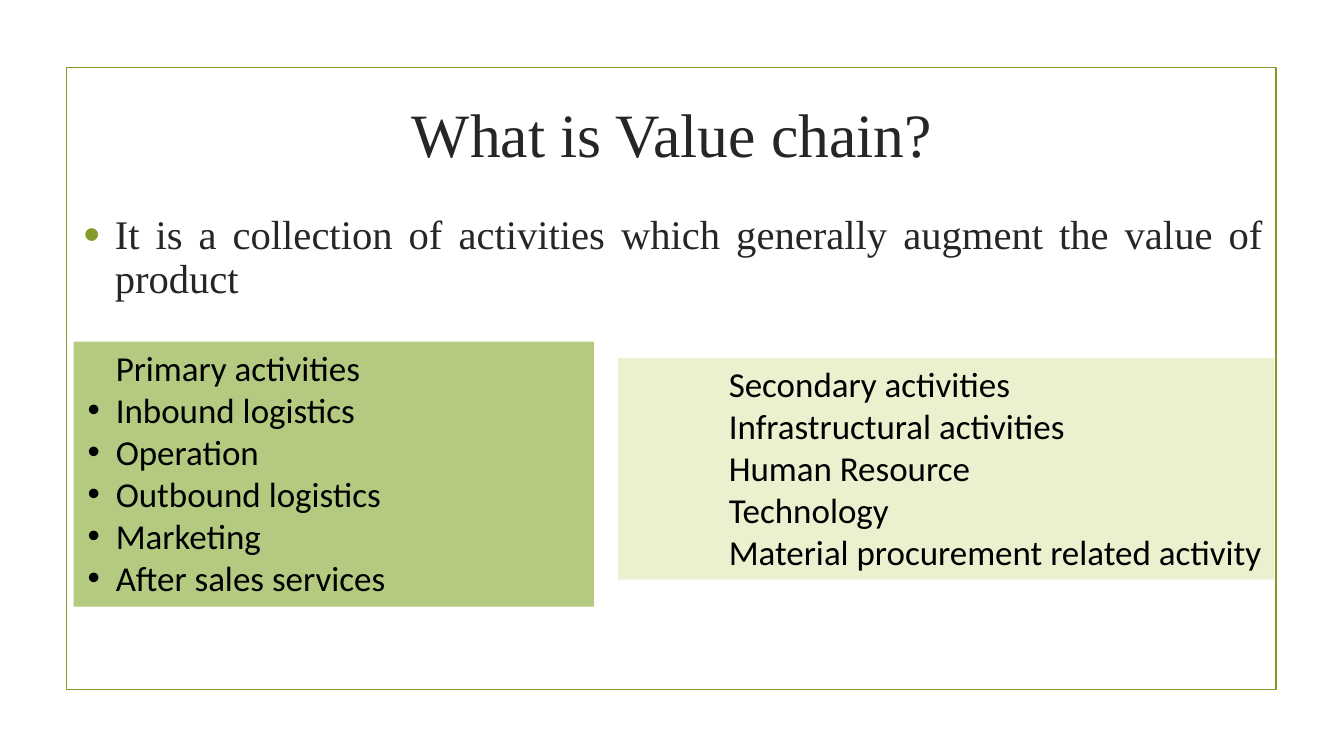
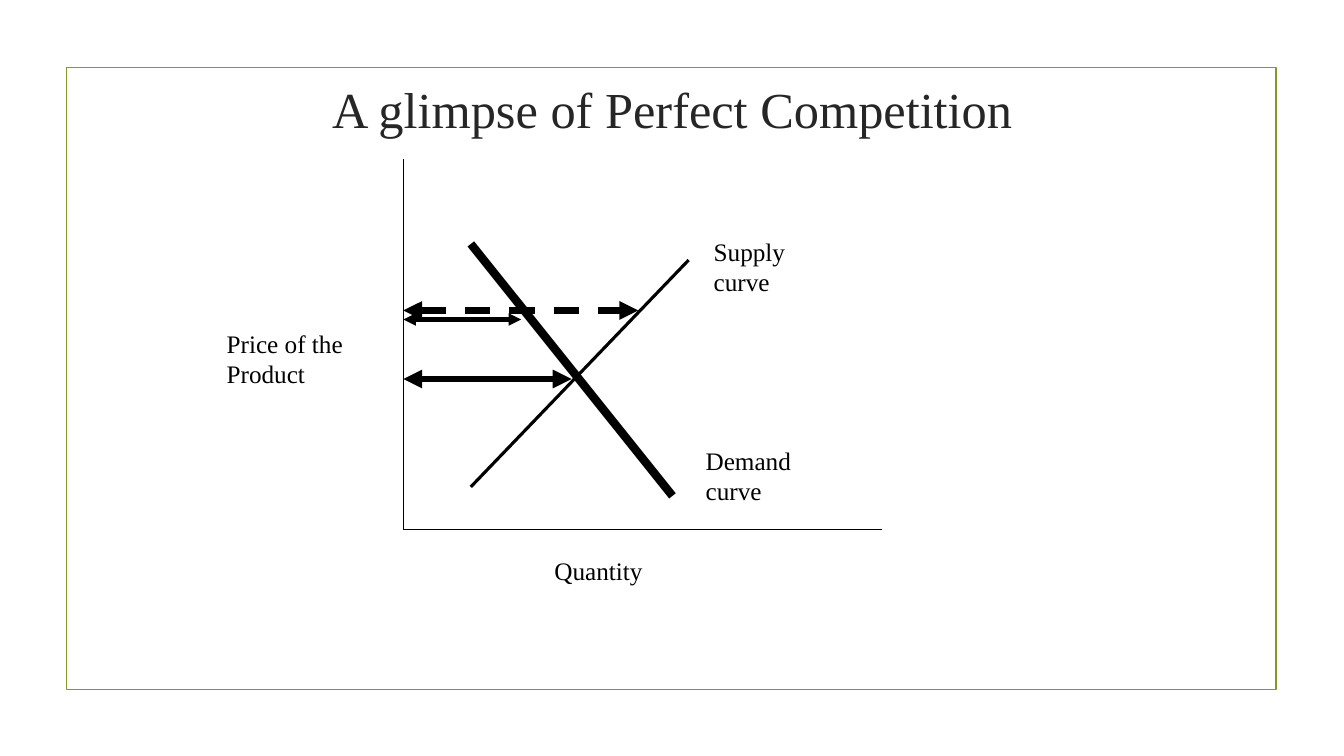
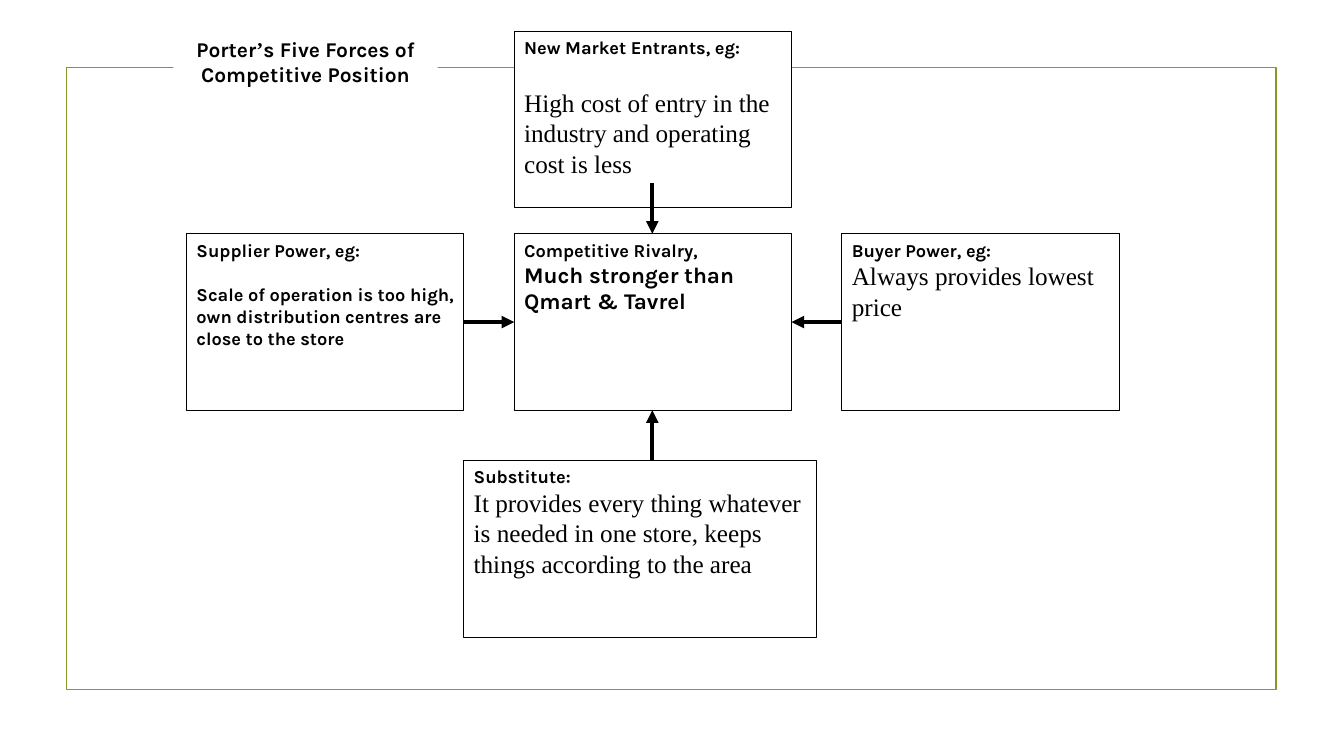
from dataclasses import dataclass

from lxml import etree
from pptx import Presentation
from pptx.dml.color import RGBColor
from pptx.enum.dml import MSO_LINE
from pptx.enum.shapes import MSO_CONNECTOR, MSO_SHAPE
from pptx.enum.text import MSO_ANCHOR, PP_ALIGN
from pptx.oxml.ns import qn
from pptx.util import Inches, Pt


@dataclass(frozen=True)
class Theme:
    # Colours
    ink: str = "000000"
    title_ink: str = "262626"
    accent: str = "83992A"
    paper: str = "FFFFFF"
    primary_fill: str = "B4CA80"
    secondary_fill: str = "EAF1CE"
    # Fonts
    serif: str = "Times New Roman"
    sans: str = "Calibri"
    display: str = "Karla"
    # Type sizes
    title: int = 44
    small_title: int = 36
    body: int = 29
    listing: int = 25
    label: int = 18
    emphasis: int = 16
    caption: int = 15
    heading: int = 13


class Deck:
    """Holds the presentation, its style and the current slide."""

    def __init__(self, theme):
        self.theme = theme
        self.presentation = Presentation()
        self.presentation.slide_width = Inches(13.33)
        self.presentation.slide_height = Inches(7.5)
        self.slide = None

    def new_slide(self):
        """Start a slide with the shared frame."""
        layout = self.presentation.slide_layouts[6]
        self.slide = self.presentation.slides.add_slide(layout)
        self.box(0.66, 0.67, 12, 6.17, line=self.theme.accent, weight=1.25)

    def box(self, left, top, width, height, fill=None, line=None, weight=0.75):
        shape = self.slide.shapes.add_shape(
            MSO_SHAPE.RECTANGLE, Inches(left), Inches(top), Inches(width), Inches(height))
        shape.shadow.inherit = False
        if fill:
            shape.fill.solid()
            shape.fill.fore_color.rgb = RGBColor.from_string(fill)
        else:
            shape.fill.background()
        if line:
            shape.line.color.rgb = RGBColor.from_string(line)
            shape.line.width = Pt(weight)
        else:
            shape.line.fill.background()
        shape.text_frame.word_wrap = True
        shape.text_frame.vertical_anchor = MSO_ANCHOR.TOP
        return shape.text_frame

    def text_area(self, left, top, width, height):
        shape = self.slide.shapes.add_textbox(
            Inches(left), Inches(top), Inches(width), Inches(height))
        shape.text_frame.word_wrap = True
        return shape.text_frame

    def paragraph(self, frame, align=PP_ALIGN.LEFT, before=0, margin=0, hanging=0,
                  bullet=False, bullet_color=None, bullet_size=100):
        """Return the empty first paragraph of a frame, or a new one."""
        paragraph = frame.paragraphs[0]
        if paragraph.runs:
            paragraph = frame.add_paragraph()
        properties = paragraph._p.get_or_add_pPr()
        properties.set("marL", str(Inches(margin)))
        properties.set("indent", str(-Inches(hanging)))
        if bullet:
            color = etree.SubElement(properties, qn("a:buClr"))
            etree.SubElement(color, qn("a:srgbClr"), val=bullet_color or self.theme.ink)
            etree.SubElement(properties, qn("a:buSzPct"), val=str(bullet_size * 1000))
            etree.SubElement(properties, qn("a:buFont"), typeface="Arial")
            etree.SubElement(properties, qn("a:buChar"), char="•")
        paragraph.alignment = align
        if before:
            paragraph.space_before = Pt(before)
        return paragraph

    def run(self, paragraph, text, size, font, bold=False, color=None):
        run = paragraph.add_run()
        run.text = text
        run.font.size = Pt(size)
        run.font.name = font
        run.font.bold = bold
        run.font.color.rgb = RGBColor.from_string(color or self.theme.ink)

    def title(self, text, top, height, size):
        frame = self.text_area(2.17, top, 9, height)
        frame.vertical_anchor = MSO_ANCHOR.MIDDLE
        self.run(self.paragraph(frame, PP_ALIGN.CENTER), text, size,
                 self.theme.serif, color=self.theme.title_ink)

    def label(self, left, top, width, *lines):
        frame = self.text_area(left, top, width, 0.71)
        for text in lines:
            self.run(self.paragraph(frame), text, self.theme.label, self.theme.serif)

    def line(self, start, end, weight, head=False, tail=False, dashed=False):
        connector = self.slide.shapes.add_connector(
            MSO_CONNECTOR.STRAIGHT, *(Inches(value) for value in (*start, *end)))
        connector.line.color.rgb = RGBColor.from_string(self.theme.ink)
        connector.line.width = Pt(weight)
        if dashed:
            connector.line.dash_style = MSO_LINE.DASH
        outline = connector.line._get_or_add_ln()
        for wanted, tag in ((head, "a:headEnd"), (tail, "a:tailEnd")):
            if wanted:
                etree.SubElement(outline, qn(tag), type="triangle")
        etree.SubElement(connector._element.spPr, qn("a:effectLst"))

    def force(self, left, top, width, heading, detail, size, font, bold=False, gap=0):
        """A bordered box with a small heading and a detail text."""
        frame = self.box(left, top, width, 1.75, self.theme.paper, self.theme.ink)
        self.run(self.paragraph(frame), heading, self.theme.heading,
                 self.theme.display, bold=True)
        self.run(self.paragraph(frame, before=gap), detail, size, font, bold)


def value_chain(deck):
    theme = deck.theme
    deck.new_slide()
    deck.title("What is Value chain?", 0.79, 1.05, theme.title)

    # Definition
    frame = deck.text_area(0.73, 2.08, 11.91, 1.06)
    definition = deck.paragraph(frame, PP_ALIGN.JUSTIFY, margin=0.31, hanging=0.31,
                                bullet=True, bullet_color=theme.accent, bullet_size=115)
    definition.line_spacing = 0.9
    deck.run(definition, "It is a collection of activities which generally augment "
             "the value of product", theme.body, theme.serif, color=theme.title_ink)

    # Secondary activities
    frame = deck.box(6.13, 3.55, 6.51, 2.2, theme.secondary_fill)
    for text in ("Secondary activities", "Infrastructural activities", "Human Resource",
                 "Technology", "Material procurement related activity"):
        deck.run(deck.paragraph(frame, margin=1), text, theme.listing, theme.sans)

    # Primary activities
    frame = deck.box(0.73, 3.39, 5.16, 2.63, theme.primary_fill)
    deck.run(deck.paragraph(frame, margin=0.32), "Primary activities",
             theme.listing, theme.sans)
    for text in ("Inbound logistics", "Operation", "Outbound logistics",
                 "Marketing", "After sales services"):
        item = deck.paragraph(frame, margin=0.32, hanging=0.28, bullet=True)
        deck.run(item, text, theme.listing, theme.sans)


def perfect_competition(deck):
    deck.new_slide()
    deck.title("A glimpse of Perfect Competition", 0.72, 0.71, deck.theme.small_title)

    # Axes
    axis_x, axis_y = 4, 5.25
    deck.line((axis_x, 1.58), (axis_x, axis_y), 0.75)
    deck.line((axis_x, axis_y), (8.75, axis_y), 0.75)

    # Demand and supply curves
    deck.line((4.67, 2.42), (6.67, 4.92), 6)
    deck.line((4.67, 4.83), (6.83, 2.58), 2.25)

    # Labels
    deck.label(6.98, 2.29, 1.15, "Supply curve")
    deck.label(6.9, 4.37, 1.15, "Demand curve")
    deck.label(5.4, 5.46, 1.2, "Quantity")
    deck.label(2.15, 3.21, 1.5, "Price of the", "Product")

    # Price levels
    for right, level, weight, dashed in ((6.33, 3.08, 4.5, True),
                                         (5.17, 3.17, 3, False),
                                         (5.67, 3.76, 4.5, False)):
        deck.line((axis_x, level), (right, level), weight,
                  head=True, tail=True, dashed=dashed)


def five_forces(deck):
    theme = deck.theme
    deck.new_slide()

    # Caption over the frame
    frame = deck.box(1.72, 0.31, 2.62, 0.75, theme.paper)
    caption = deck.paragraph(frame, PP_ALIGN.CENTER)
    for text, font in (("Porter", theme.display), ("’", theme.serif),
                       ("s Five Forces of Competitive Position", theme.display)):
        deck.run(caption, text, theme.caption, font, bold=True)

    # Forces around the rivalry box
    width, height, gap = 2.75, 1.75, 0.5
    left, center, right = (1.85 + column * (width + gap) for column in range(3))
    top, middle = 0.31, 2.32
    bottom = middle + height + gap
    deck.force(center, middle, width, "Competitive Rivalry,",
               "Much stronger than Qmart & Tavrel", theme.emphasis, theme.display, bold=True)
    deck.force(left, middle, width, "Supplier Power, eg:",
               "Scale of operation is too high, own distribution centres are "
               "close to the store", theme.heading, theme.display, bold=True, gap=16)
    deck.force(center - gap, bottom, 3.5, "Substitute:",
               "It provides every thing whatever is needed in one store, keeps "
               "things according to the area", theme.label, theme.serif)
    deck.force(right, middle, width, "Buyer Power, eg:",
               "Always provides lowest price", theme.label, theme.serif)
    deck.force(center, top, width, "New Market Entrants, eg:",
               "High cost of entry in the industry and operating cost is less",
               theme.label, theme.serif, gap=21)

    # Arrows into the rivalry box
    axis_x, axis_y = 6.47, middle + height / 2
    for start, end in (((axis_x, bottom), (axis_x, bottom - gap)),
                       ((axis_x, middle - gap), (axis_x, middle)),
                       ((center - gap, axis_y), (center, axis_y)),
                       ((right, axis_y), (right - gap, axis_y))):
        deck.line(start, end, 3, tail=True)


def main():
    deck = Deck(Theme())
    value_chain(deck)
    perfect_competition(deck)
    five_forces(deck)
    deck.presentation.save("out.pptx")


if __name__ == "__main__":
    main()
